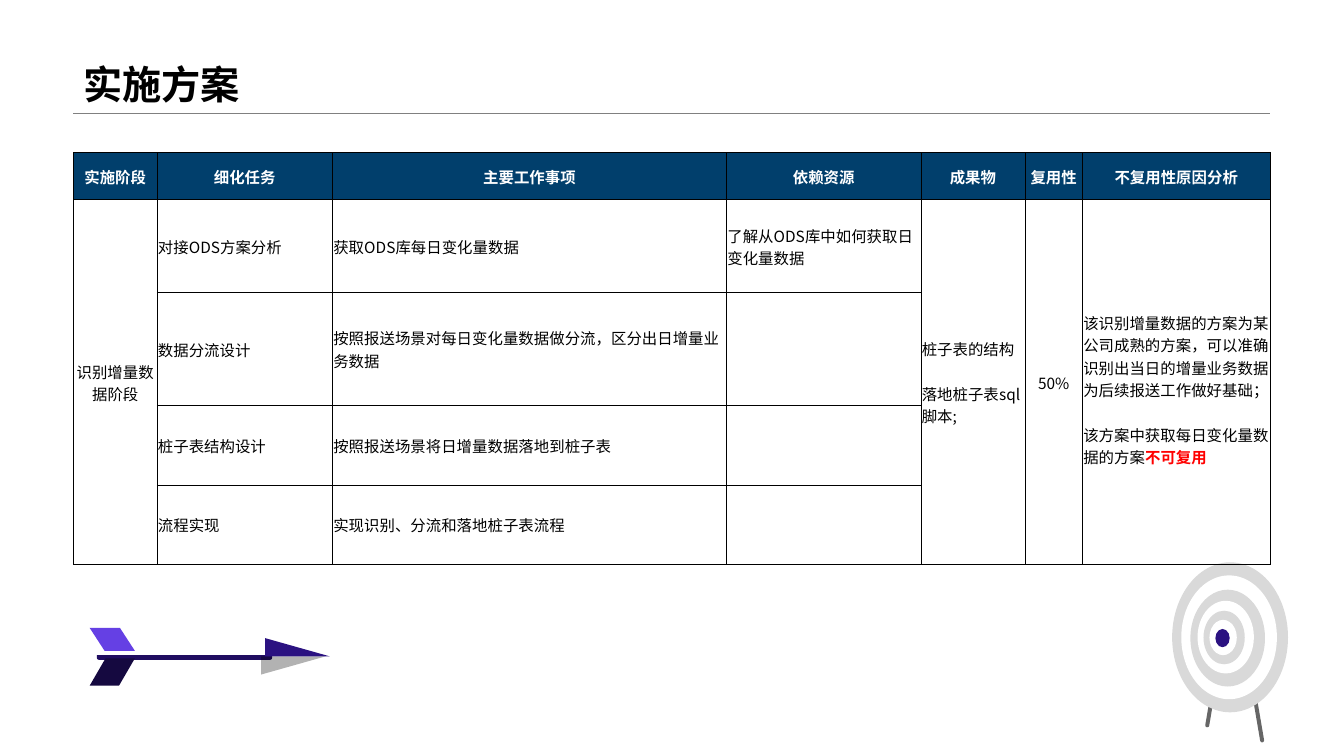
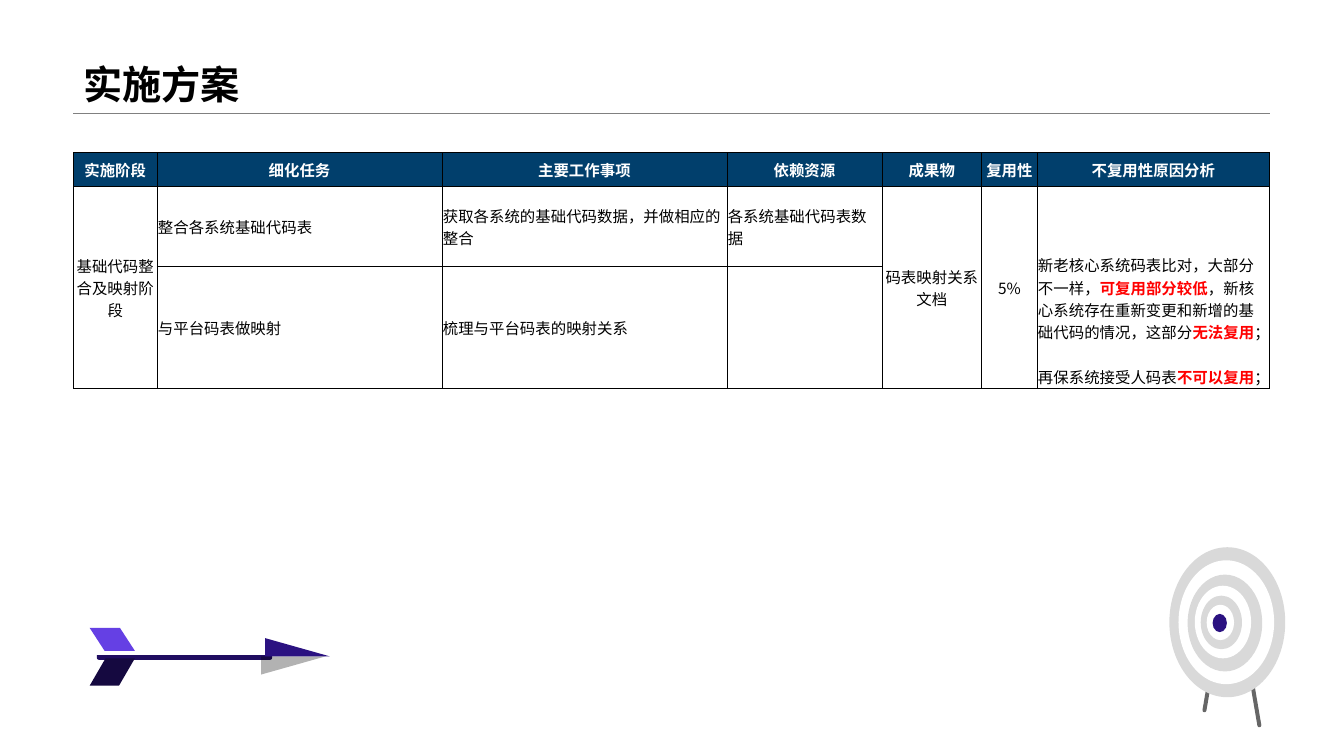
"""Build two implementation-plan slides with a table, an arrow and a target."""
from lxml.etree import SubElement
from pptx import Presentation
from pptx.dml.color import RGBColor
from pptx.enum.shapes import MSO_CONNECTOR, MSO_SHAPE as SHAPE
from pptx.enum.text import MSO_ANCHOR as ANCHOR, PP_ALIGN as ALIGN
from pptx.oxml.ns import qn
from pptx.util import Cm, Pt

CJK = "Noto Sans CJK SC"
BLACK, WHITE, RED, NAVY = "000000", "FFFFFF", "FF0000", "013F6C"
RING, LEG, INDIGO = "D9D9D9", "666666", "2B1281"
TITLE = {"size": Pt(28), "name": "Arial", "bold": True}
HEAD = {"size": Pt(11), "name": CJK, "bold": True}
BODY = {**HEAD, "bold": False}
CELL = {"margin_left": Cm(0.02), "margin_right": Cm(0.02), "margin_top": Cm(0.02),
        "margin_bottom": 0, "vertical_anchor": ANCHOR.MIDDLE}
LEFT, RIGHT, RULE_Y, TABLE_Y = 1.85, 32, 2.84, 3.84
HEADERS = ["实施阶段", "细化任务", "主要工作事项", "依赖资源", "成果物", "复用性", "不复用性原因分析"]
MERGED, REASON = (0, 4, 5, 6), 6

LEGS = [(30.53, 16.38, 9.7), (31.6, 16.76, -9.7)]
RINGS = [(29.54, 14.17, 2.92, 3.78), (29.77, 14.5, 2.41, 3.12), (30, 14.86, 1.88, 2.44),
         (30.18, 15.14, 1.42, 1.83), (30.33, 15.39, 1.04, 1.35), (30.48, 15.62, 0.69, 0.89),
         (30.63, 15.85, 0.36, 0.46)]
ARROW = [
    (SHAPE.ROUND_2_SAME_RECTANGLE, (2.44, 16.51, 4.42, 0.12), "200D61", 0.5, "flipV", None),
    (SHAPE.PARALLELOGRAM, (2.26, 16.59, 1.14, 0.69), "150940", 0.58, None, None),
    (SHAPE.PARALLELOGRAM, (2.26, 15.82, 1.14, 0.58), "6540E4", 0.65, "flipH", None),
    (SHAPE.RIGHT_TRIANGLE, (6.58, 16.54, 1.63, 0.46), BLACK, None, "flipV", 30),
    (SHAPE.RIGHT_TRIANGLE, (6.68, 16.08, 1.63, 0.46), INDIGO, None, None, None),
]
PLANS = [
    {
        "cols": [2.11, 4.42, 9.93, 4.9, 2.62, 1.45, 4.73],
        "heights": [1.19, 2.34, 2.84, 2.01, 2.01],
        "centred": (0, 5), "reason_top": 2.82, "target_shift": (0, 0),
        "rows": [
            ["识别增量数据阶段", "对接ODS方案分析", "获取ODS库每日变化量数据",
             "了解从ODS库中如何获取日变化量数据", "桩子表的结构\n落地桩子表sql脚本;", "50%",
             "该识别增量数据的方案为某公司成熟的方案，可以准确识别出当日的增量业务数据"
             "为后续报送工作做好基础；\n该方案中获取每日变化量数据的方案*不可复用*"],
            ["", "数据分流设计", "按照报送场景对每日变化量数据做分流，区分出日增量业务数据"],
            ["", "桩子表结构设计", "按照报送场景将日增量数据落地到桩子表"],
            ["", "流程实现", "实现识别、分流和落地桩子表流程"],
        ],
    },
    {
        "cols": [2.11, 7.18, 7.18, 3.91, 2.51, 1.4, 5.86],
        "heights": [0.86, 2.01, 3.07],
        "centred": (0, 4, 5), "reason_top": 1.7, "target_shift": (-0.07, -0.38),
        "rows": [
            ["基础代码整合及映射阶段", "整合各系统基础代码表",
             "获取各系统的基础代码数据，并做相应的整合", "各系统基础代码表数据",
             "码表映射关系文档", "5%",
             "新老核心系统码表比对，大部分不一样，*可复用部分较低*，新核心系统存在重新变更"
             "和新增的基础代码的情况，这部分*无法复用*；\n再保系统接受人码表*不可以复用*；"],
            ["", "与平台码表做映射", "梳理与平台码表的映射关系"],
        ],
    },
]


def paint(shapes, kind, box, color, adj=None):
    """Add a flat, unlined shape; the box is in centimetres."""
    sp = shapes.add_shape(kind, *map(Cm, box))
    sp.shadow.inherit = False
    sp.fill.solid()
    sp.fill.fore_color.rgb = RGBColor.from_string(color)
    sp.line.fill.background()
    if adj is not None:
        for i in range(min(1, len(sp.adjustments))):
            sp.adjustments[i] = adj
    return sp


def write(tf, text, fmt, color, align=ALIGN.LEFT):
    """Write lines as paragraphs, with *marked* parts in bold red."""
    for i, line in enumerate(text.split("\n")):
        p = tf.add_paragraph() if i else tf.paragraphs[0]
        p.alignment = align
        if i:
            p.space_before = Pt(16)
        for j, part in enumerate(line.split("*")):
            if not part:
                continue
            r = p.add_run()
            r.text = part
            for name, value in fmt.items():
                setattr(r.font, name, value)
            r.font.bold = fmt["bold"] or j % 2 == 1
            r.font.color.rgb = RGBColor.from_string(RED if j % 2 else color)
            SubElement(r.font._element, qn("a:ea"), typeface=CJK)


prs = Presentation()
prs.slide_width, prs.slide_height = Cm(33.87), Cm(19.05)

for plan in PLANS:
    s = prs.slides.add_slide(prs.slide_layouts[6])

    rule = s.shapes.add_connector(MSO_CONNECTOR.STRAIGHT, Cm(LEFT), Cm(RULE_Y), Cm(RIGHT), Cm(RULE_Y))
    rule.line.width = Pt(0.25)
    rule.line.color.rgb = RGBColor.from_string("808080")
    SubElement(rule._element.spPr, qn("a:effectLst"))

    tf = s.shapes.add_textbox(Cm(LEFT), 0, Cm(RIGHT - LEFT), Cm(RULE_Y)).text_frame
    tf.word_wrap = True
    tf.vertical_anchor = ANCHOR.BOTTOM
    write(tf, "实施方案", TITLE, BLACK)
    tf.paragraphs[0].line_spacing = 0.9

    dx, dy = plan["target_shift"]
    target = s.shapes.add_group_shape()
    for x, y, angle in LEGS:
        sp = paint(target.shapes, SHAPE.ROUNDED_RECTANGLE, (x + dx, y + dy, 0.1, 1.96), LEG, 0.5)
        sp.rotation = angle
    for i, (x, y, w, h) in enumerate(RINGS):
        color = INDIGO if i == len(RINGS) - 1 else (RING, WHITE)[i % 2]
        paint(target.shapes, SHAPE.OVAL, (x + dx, y + dy, w, h), color)

    for kind, box, color, adj, flip, alpha in ARROW:
        sp = paint(s.shapes, kind, box, color, adj)
        if flip:
            sp._element.spPr.get_or_add_xfrm().set(flip, "1")
        if alpha:
            clr = sp._element.spPr.find(qn("a:solidFill")).find(qn("a:srgbClr"))
            SubElement(clr, qn("a:alpha"), val=str(alpha * 1000))

    cols, heights = plan["cols"], plan["heights"]
    tbl = s.shapes.add_table(len(heights), len(cols), Cm(LEFT), Cm(TABLE_Y),
                             Cm(sum(cols)), Cm(sum(heights))).table
    tbl.horz_banding = False
    for col, width in zip(tbl.columns, cols):
        col.width = Cm(width)
    for row, height in zip(tbl.rows, heights):
        row.height = Cm(height)

    for i, texts in enumerate([HEADERS] + plan["rows"]):
        for j in range(len(cols)):
            cell = tbl.cell(i, j)
            for name, value in CELL.items():
                setattr(cell, name, value)
            tcPr = cell._tc.get_or_add_tcPr()
            for side in ("a:lnL", "a:lnR", "a:lnT", "a:lnB"):
                ln = SubElement(tcPr, qn(side), w=str(Pt(0.5)))
                SubElement(SubElement(ln, qn("a:solidFill")), qn("a:srgbClr"), val=BLACK)
            if i:
                cell.fill.background()
            else:
                cell.fill.solid()
                cell.fill.fore_color.rgb = RGBColor.from_string(NAVY)
            if j < len(texts) and texts[j]:
                align = ALIGN.CENTER if i == 0 or j in plan["centred"] else ALIGN.LEFT
                write(cell.text_frame, texts[j], BODY if i else HEAD, BLACK if i else WHITE, align)

    for j in MERGED:
        tbl.cell(1, j).merge(tbl.cell(len(heights) - 1, j))
    reason = tbl.cell(1, REASON)
    reason.vertical_anchor = ANCHOR.TOP
    reason.margin_top = Cm(plan["reason_top"])

prs.save("out.pptx")
